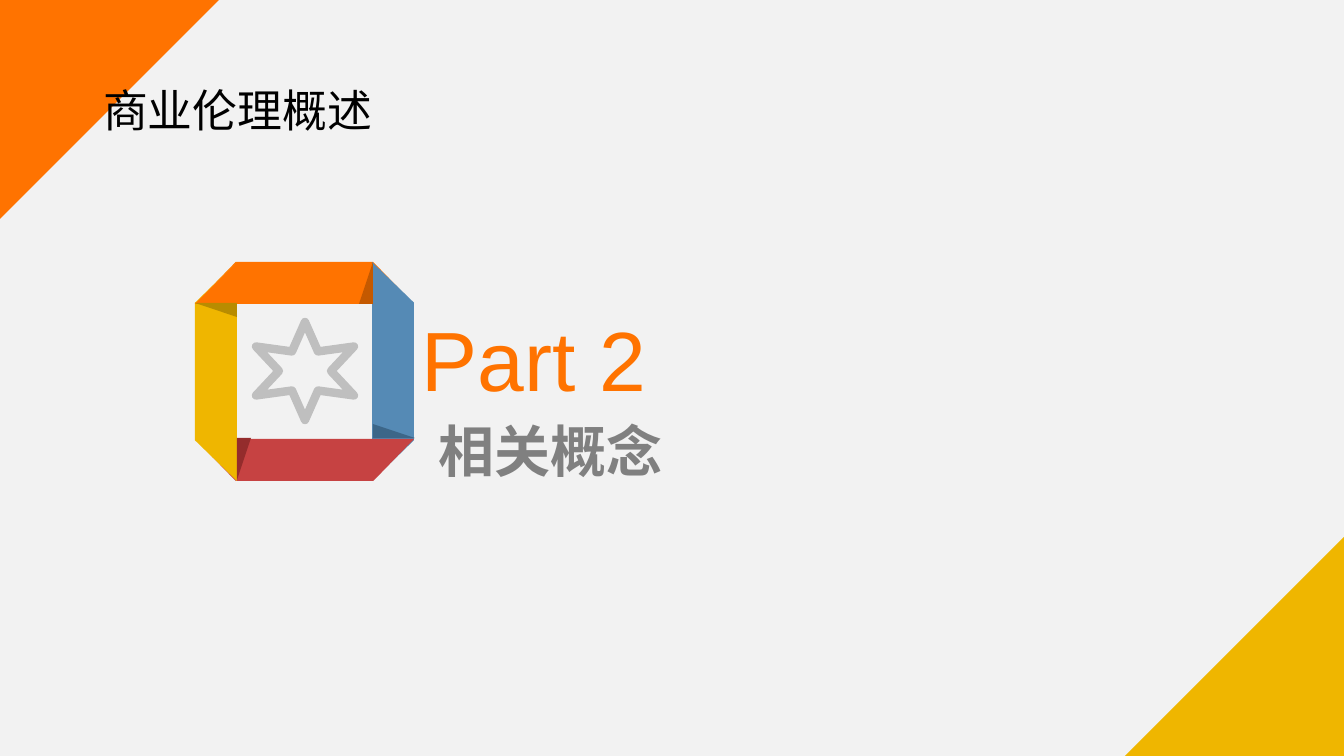
"""Build the section slide for Part 2 of the business ethics overview."""
import dataclasses

import pptx
import pptx.dml.color
import pptx.enum.shapes
import pptx.enum.text
import pptx.util

SHAPE = pptx.enum.shapes.MSO_SHAPE
EMU_PER_PX = 914400 / 100.8


@dataclasses.dataclass(frozen=True)
class Theme:
    """Colours, fonts and type sizes."""
    background: str = "F2F2F2"
    orange: str = "FF7300"
    blue: str = "558AB5"
    red: str = "C64242"
    yellow: str = "EFB600"
    dark_orange: str = "C45900"
    dark_blue: str = "3C6688"
    dark_red: str = "942C2C"
    dark_yellow: str = "B88C00"
    star: str = "BFBFBF"
    black: str = "000000"
    grey: str = "808080"
    heading_font: str = "Montserrat"
    body_font: str = "Arial"
    title_size: int = 32
    part_size: int = 60
    topic_size: int = 40
    star_line: int = 6


def px(length):
    """Turn px into EMU."""
    return pptx.util.Emu(round(length * EMU_PER_PX))


def rgb(colour):
    """Turn a hex string into a colour."""
    return pptx.dml.color.RGBColor.from_string(colour)


class SlideBuilder:
    """Draw elements on one slide in one style."""

    def __init__(self, slide, theme):
        """Keep the slide and theme and paint the background."""
        self.slide = slide
        self.theme = theme
        slide.background.fill.solid()
        slide.background.fill.fore_color.rgb = rgb(theme.background)

    def set_text(self, frame, text, font_name, size, colour, bold=False):
        """Fill a text frame with one formatted paragraph."""
        paragraph = frame.paragraphs[0]
        paragraph.text = text
        paragraph.alignment = pptx.enum.text.PP_ALIGN.LEFT
        font = paragraph.font
        font.name, font.size, font.bold = font_name, pptx.util.Pt(size), bold
        font.color.rgb = rgb(colour)
        return paragraph

    def title(self, text, left, top, width, height):
        """Place the title in front of what is drawn so far."""
        title = self.slide.shapes.title
        title.left, title.top = px(left), px(top)
        title.width, title.height = px(width), px(height)
        title.text_frame.vertical_anchor = pptx.enum.text.MSO_ANCHOR.MIDDLE
        paragraph = self.set_text(title.text_frame, text, self.theme.heading_font,
                                  self.theme.title_size, self.theme.black)
        paragraph.line_spacing = 0.9
        self.slide.shapes._spTree.append(title._element)

    def label(self, text, left, top, width, height, size, colour, bold=False):
        """Add a one-line text box."""
        frame = self.slide.shapes.add_textbox(
            px(left), px(top), px(width), px(height)).text_frame
        frame.word_wrap = False
        frame.auto_size = pptx.enum.text.MSO_AUTO_SIZE.SHAPE_TO_FIT_TEXT
        self.set_text(frame, text, self.theme.body_font, size, colour, bold)

    def shape(self, kind, left, top, width, height, turns=0, fill=None):
        """Add a shape that covers the given box after its quarter turns."""
        if turns % 2:
            left, top = left + (width - height) / 2, top + (height - width) / 2
            width, height = height, width
        shape = self.slide.shapes.add_shape(
            kind, px(left), px(top), px(width), px(height))
        shape.shadow.inherit = False
        shape.rotation = 90 * turns
        shape.line.fill.background()
        if fill:
            shape.fill.solid()
            shape.fill.fore_color.rgb = rgb(fill)
        else:
            shape.fill.background()
        return shape

    def triangle(self, left, top, width, height, turns, fill):
        """Add a right triangle."""
        self.shape(SHAPE.RIGHT_TRIANGLE, left, top, width, height, turns, fill)

    def frame(self, left, top, size, band, colours):
        """Add four trapezoids clockwise from the top of a square."""
        far = size - band
        boxes = ((0, 0, size, band), (far, 0, band, size),
                 (0, far, size, band), (0, 0, band, size))
        for turns, ((x, y, width, height), fill) in enumerate(zip(boxes, colours)):
            side = self.shape(SHAPE.TRAPEZOID, left + x, top + y,
                              width, height, turns, fill)
            side.adjustments[0] = 0.97

    def star(self, left, top, size):
        """Add an outlined six-pointed star."""
        star = self.shape(SHAPE.STAR_6_POINT, left, top, size, size)
        star.adjustments[0] = 0.23
        star.line.color.rgb = rgb(self.theme.star)
        star.line.width = pptx.util.Pt(self.theme.star_line)


def main():
    """Build and save the slide."""
    presentation = pptx.Presentation()
    presentation.slide_width, presentation.slide_height = px(1344), px(756)
    theme = Theme()
    builder = SlideBuilder(
        presentation.slides.add_slide(presentation.slide_layouts[5]), theme)

    builder.triangle(0, 0, 219, 219, 1, theme.orange)
    builder.triangle(1125, 537, 219, 219, 3, theme.yellow)
    builder.title("商业伦理概述", 93, 40, 1159, 146)

    builder.frame(195, 262, 219, 42,
                  (theme.orange, theme.blue, theme.red, theme.yellow))
    for fold in ((195, 262, 42, 42, 3, theme.orange),
                 (359, 262, 14, 42, 3, theme.dark_orange),
                 (373, 424, 42, 14, 0, theme.dark_blue),
                 (237, 438, 14, 42, 1, theme.dark_red),
                 (195, 303, 42, 14, 2, theme.dark_yellow)):
        builder.triangle(*fold)
    builder.star(256, 322, 98)

    builder.label("Part 2", 412, 303, 247, 112, theme.part_size, theme.orange)
    builder.label("相关概念", 429, 412, 247, 78, theme.topic_size, theme.grey, bold=True)
    presentation.save("out.pptx")


if __name__ == "__main__":
    main()
